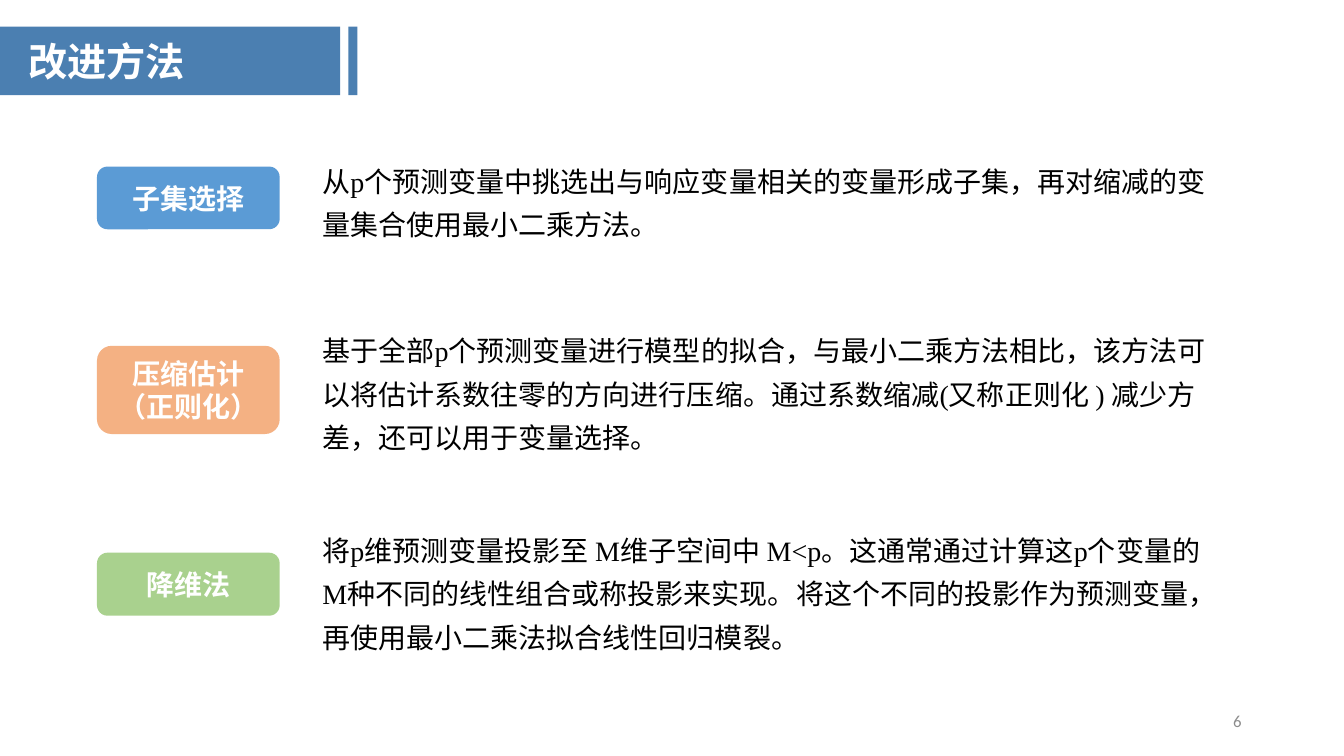
from dataclasses import dataclass

from lxml import etree
from pptx import Presentation
from pptx.dml.color import RGBColor
from pptx.enum import shapes as sh, text as tx
from pptx.oxml.ns import qn
from pptx.util import Pt

HAN = "Noto Sans CJK SC"
BLUE, WHITE = "4B7FB1", "FFFFFF"


@dataclass
class Method:
    name: str
    hue: str
    top: float
    high: float
    note: str
    note_top: float
    note_wide: float
    note_high: float


METHODS = [
    Method("子集选择", "5B9BD5", 119, 44.8,
           "从p个预测变量中挑选出与响应变量相关的变量形成子集，再对缩减的变量集合使用最小二乘方法。",
           106.6, 647.3, 69.8),
    Method("压缩估计\n（正则化）", "F4B183", 247, 63,
           "基于全部p个预测变量进行模型的拟合，与最小二乘方法相比，该方法可以将估计系数往零的方向进行压缩。"
           "通过系数缩减(又称正则化 ) 减少方差，还可以用于变量选择。",
           227.5, 647.3, 101.5),
    Method("降维法", "A9D18E", 394.8, 45,
           "将p维预测变量投影至 M维子空间中 M<p。这通常通过计算这p个变量的M种不同的线性组合或称投影来实现。"
           "将这个不同的投影作为预测变量，再使用最小二乘法拟合线性回归模裂。",
           370.1, 652.3, 101.5),
]


def color(code: str) -> RGBColor:
    return RGBColor.from_string(code)


def write(shape, words: str, size: float = 20, hue: str = "000000",
          font: str = "Calibri", bold: bool = False, align=tx.PP_ALIGN.LEFT,
          anchor=tx.MSO_ANCHOR.TOP, space: float = 1,
          fit=tx.MSO_AUTO_SIZE.NONE) -> None:
    frame = shape.text_frame
    frame.text = words
    frame.word_wrap = True
    frame.auto_size = fit
    frame.vertical_anchor = anchor
    for para in frame.paragraphs:
        para.alignment = align
        para.line_spacing = space
        for run in para.runs:
            face = run.font
            face.name, face.size, face.bold = font, Pt(size), bold
            face.color.rgb = color(hue)
            # East Asian typeface
            etree.SubElement(run._r.get_or_add_rPr(), qn("a:ea"), typeface=HAN)


def block(slide, kind, left: float, top: float, wide: float, high: float, hue: str):
    shape = slide.shapes.add_shape(kind, Pt(left), Pt(top), Pt(wide), Pt(high))
    shape.shadow.inherit = False
    shape.fill.solid()
    shape.fill.fore_color.rgb = color(hue)
    shape.line.fill.background()
    return shape


def label(slide, left: float, top: float, wide: float, high: float, words: str, **form) -> None:
    box = slide.shapes.add_textbox(Pt(left), Pt(top), Pt(wide), Pt(high))
    write(box, words, **form)


def head(slide) -> None:
    for left, wide in ((0, 243), (248.8, 6.5)):
        block(slide, sh.MSO_SHAPE.RECTANGLE, left, 19, wide, 49, BLUE)
    title = slide.shapes.title
    title.left, title.top, title.width, title.height = Pt(13), Pt(23), Pt(226.8), Pt(41)
    write(title, "改进方法", size=28, hue=WHITE, bold=True)
    # Bring the title in front of its bar
    title.element.getparent().append(title.element)


def row(slide, item: Method) -> None:
    tag = block(slide, sh.MSO_SHAPE.ROUNDED_RECTANGLE, 69.3, item.top, 130.5, item.high, item.hue)
    write(tag, item.name, hue=WHITE, bold=True,
          align=tx.PP_ALIGN.CENTER, anchor=tx.MSO_ANCHOR.MIDDLE)
    label(slide, 223.2, item.note_top, item.note_wide, item.note_high, item.note,
          font="Times New Roman", space=1.3, fit=tx.MSO_AUTO_SIZE.SHAPE_TO_FIT_TEXT)


def main() -> None:
    deck = Presentation()
    deck.slide_width, deck.slide_height = Pt(960), Pt(540)
    slide = deck.slides.add_slide(deck.slide_layouts[5])

    # Heading
    head(slide)

    # Methods and their descriptions
    for item in METHODS:
        row(slide, item)

    # Page number
    label(slide, 678, 500.5, 216, 28.8, "6", size=12, hue="8C8C8C",
          align=tx.PP_ALIGN.RIGHT, anchor=tx.MSO_ANCHOR.MIDDLE)

    deck.save("out.pptx")


if __name__ == "__main__":
    main()
